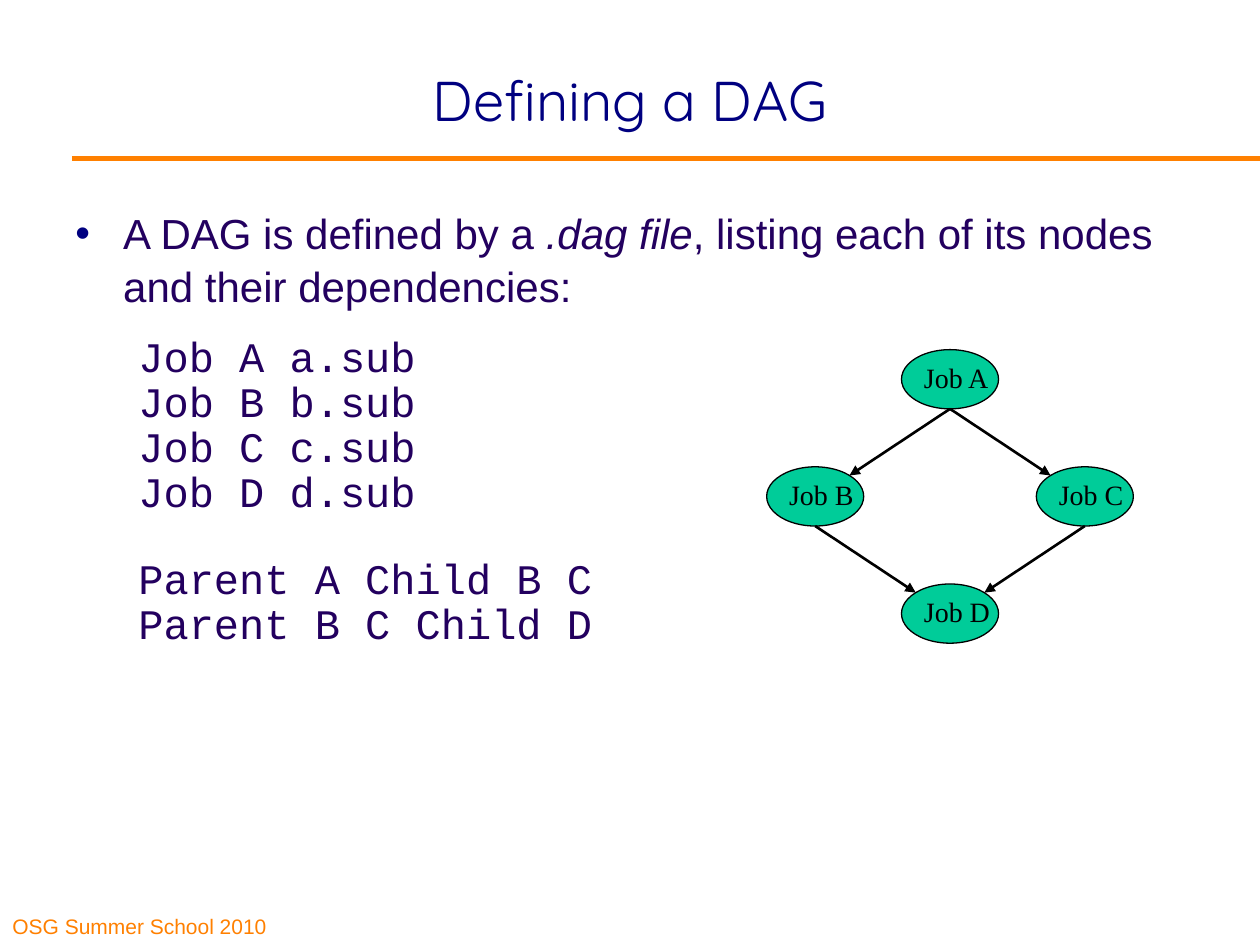
import math
from lxml import etree
from pptx import Presentation
from pptx.dml.color import RGBColor
from pptx.enum.shapes import MSO_CONNECTOR, MSO_SHAPE
from pptx.enum.text import MSO_ANCHOR, PP_ALIGN
from pptx.oxml.ns import qn
from pptx.util import Inches, Pt

LINE, OVAL = MSO_CONNECTOR.STRAIGHT, MSO_SHAPE.OVAL
TOP, MIDDLE, BOTTOM = MSO_ANCHOR.TOP, MSO_ANCHOR.MIDDLE, MSO_ANCHOR.BOTTOM
LEFT, CENTER = PP_ALIGN.LEFT, PP_ALIGN.CENTER

COLORS = {"orange": "FF8000", "navy": "000080", "purple": "23005F",
          "green": "00CC99", "black": "000000"}

GRID_X, GRID_Y = 6.47, 3.01
COL, ROW = 1.07, 0.93
NODE_W, NODE_H = 0.77, 0.47
NODES = {"A": (1, 0), "B": (0, 1), "C": (2, 1), "D": (1, 2)}
EDGES = ["AB", "AC", "CD", "BD"]

JOBS = ["Job A a.sub", "Job B b.sub", "Job C c.sub", "Job D d.sub"]
RELATIONS = ["Parent A Child B C", "Parent B C Child D"]


def rgb(name):
    return RGBColor.from_string(COLORS[name])


def write(p, text, font="Arial", size=24, color="purple", italic=False,
          align=LEFT, spacing=None, before=None):
    p.alignment = align
    if spacing:
        p.line_spacing = spacing
    if before:
        p.space_before = Pt(before)
    r = p.add_run()
    r.text = text
    r.font.name, r.font.size, r.font.italic = font, Pt(size), italic
    r.font.color.rgb = rgb(color)


def frame(sp, anchor=TOP, wrap=True):
    tf = sp.text_frame
    tf.word_wrap, tf.vertical_anchor = wrap, anchor
    return tf


def add_box(s, x, y, w, h, **layout):
    return frame(s.shapes.add_textbox(*map(Inches, (x, y, w, h))), **layout)


def indent(p, left, hanging, bullet=None):
    pPr = p._p.get_or_add_pPr()
    pPr.set("marL", str(Inches(left)))
    pPr.set("indent", str(-Inches(hanging)))
    if bullet:
        clr = etree.SubElement(pPr, qn("a:buClr"))
        etree.SubElement(clr, qn("a:srgbClr"), val=COLORS["navy"])
        etree.SubElement(pPr, qn("a:buFont"), typeface="Arial")
        etree.SubElement(pPr, qn("a:buChar"), char=bullet)


def add_line(s, start, end, color="black", width=1.5, arrow=False):
    c = s.shapes.add_connector(LINE, *map(Inches, (*start, *end)))
    c.line.color.rgb, c.line.width = rgb(color), Pt(width)
    if arrow:
        etree.SubElement(c.line._get_or_add_ln(), qn("a:tailEnd"), type="triangle")
    etree.SubElement(c._element.spPr, qn("a:effectLst"))


def center(name):
    col, row = NODES[name]
    return GRID_X + col * COL, GRID_Y + row * ROW


def add_node(s, name):
    x, y = center(name)
    left, top = x - NODE_W / 2, y - NODE_H / 2
    sp = s.shapes.add_shape(OVAL, *map(Inches, (left, top, NODE_W, NODE_H)))
    sp.shadow.inherit = False
    sp.fill.solid()
    sp.fill.fore_color.rgb = rgb("green")
    sp.line.color.rgb, sp.line.width = rgb("black"), Pt(0.75)
    tf = add_box(s, left + 0.08, top + 0.07, 0.74, 0.33, anchor=MIDDLE, wrap=False)
    write(tf.paragraphs[0], f"Job {name}", font="Times New Roman", size=16,
          color="black", spacing=0.93)


def add_edge(s, parent, child):
    (px, py), (cx, cy) = center(parent), center(child)
    side = math.copysign(math.sqrt(0.5), px - cx)
    end = (cx + side * NODE_W / 2, cy - math.sqrt(0.5) * NODE_H / 2)
    add_line(s, (px, py + NODE_H / 2), end, arrow=True)


def add_title(s, text):
    sp = s.shapes.title
    sp.left, sp.top, sp.width, sp.height = map(Inches, (0.5, 0.51, 9, 0.55))
    write(frame(sp, anchor=MIDDLE).paragraphs[0], text, font="Quicksand",
          size=32, color="navy", align=CENTER)


def add_body(s):
    tf = add_box(s, 0.5, 1.58, 9, 4.57)
    p = tf.paragraphs[0]
    indent(p, 0.38, 0.38, bullet="•")
    write(p, "A DAG is defined by a ", spacing=1.05)
    write(p, ".dag file", italic=True)
    write(p, ", listing each of its nodes and their dependencies:")
    for block, gap in ((JOBS, 19), (RELATIONS, 30)):
        for i, text in enumerate(block):
            p = tf.add_paragraph()
            p.level = 1
            indent(p, 0.81, 0.31)
            write(p, text, font="Courier New", spacing=0.7,
                  before=5.5 if i else gap)


def main():
    prs = Presentation()
    prs.slide_width, prs.slide_height = Inches(10), Inches(7.5)
    s = prs.slides.add_slide(prs.slide_layouts[5])
    footer = add_box(s, 0, 7.08, 2.48, 0.42, anchor=BOTTOM)
    write(footer.paragraphs[0], "OSG Summer School 2010", size=12, color="orange")
    add_line(s, (0.57, 1.26), (10, 1.26), color="orange", width=3)
    add_title(s, "Defining a DAG")
    add_body(s)
    for name in NODES:
        add_node(s, name)
    for parent, child in EDGES:
        add_edge(s, parent, child)
    prs.save("out.pptx")


if __name__ == "__main__":
    main()
